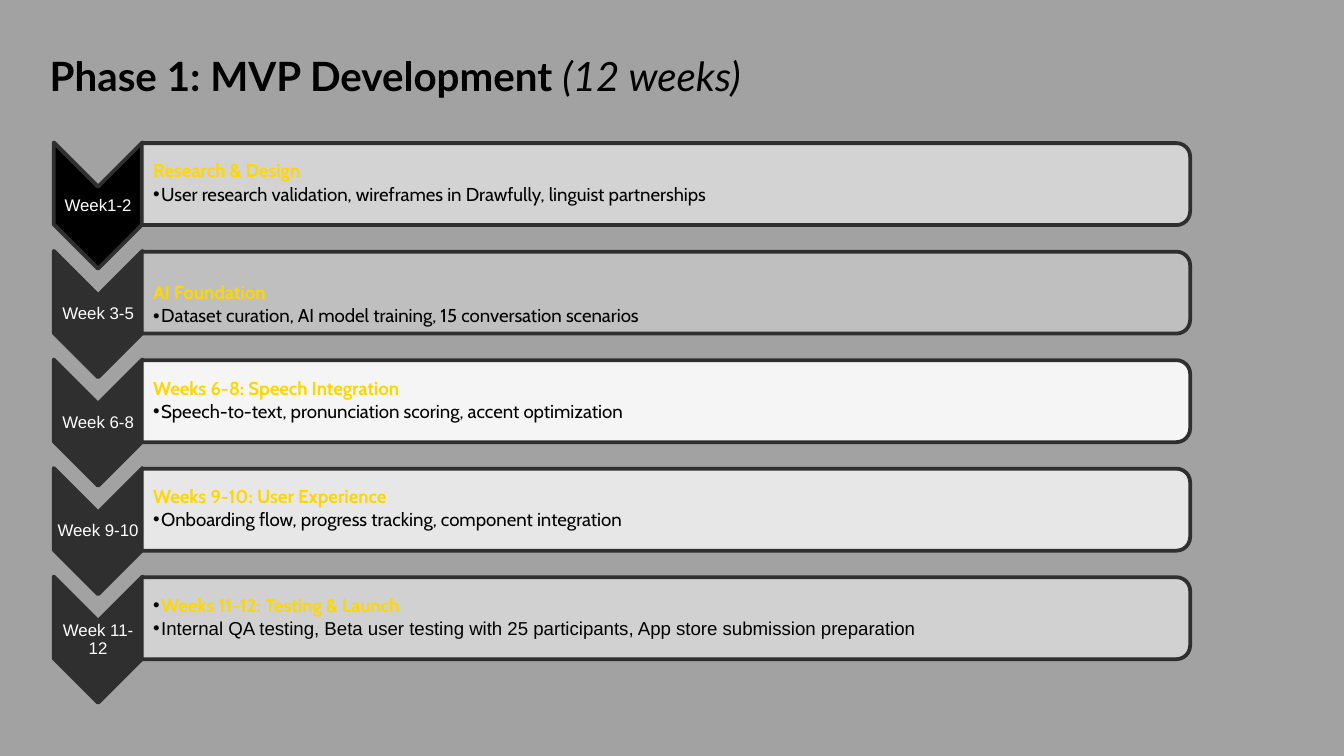
"""Build the slide that shows the five steps of the MVP development phase."""
from lxml.etree import SubElement
from pptx import Presentation
from pptx.dml.color import RGBColor
from pptx.enum.shapes import MSO_SHAPE
from pptx.enum.text import MSO_ANCHOR, MSO_AUTO_SIZE, PP_ALIGN
from pptx.oxml.ns import qn
from pptx.util import Inches, Pt

STEPS = [
    ("Week1-2", "000000", "D9D9D9", "Research & Design",
     "User research validation, wireframes in Drawfully, linguist partnerships"),
    ("Week 3-5", "2F2F2F", "C3C3C3", "AI Foundation",
     "Dataset curation, AI model training, 15 conversation scenarios"),
    ("Week 6-8", "2F2F2F", "FFFFFF", "Weeks 6-8: Speech Integration",
     "Speech-to-text, pronunciation scoring, accent optimization"),
    ("Week 9-10", "2F2F2F", "EFEFEF", "Weeks 9-10: User Experience",
     "Onboarding flow, progress tracking, component integration"),
    ("Week 11- 12", "2F2F2F", "D7D7D7", "Weeks 11-12: Testing & Launch",
     "Internal QA testing, Beta user testing with 25 participants, "
     "App store submission preparation"),
]
FIRST_TOP, LAST_TOP = 1.2, 4.43


def color(value):
    return RGBColor.from_string(value)


class SlideBuilder:
    outline = "2F2F2F"
    black = "000000"
    white = "FFFFFF"
    gold = "FFD700"

    def __init__(self, slide):
        self.slide = slide

    def background(self, value):
        fill = self.slide.background.fill
        fill.solid()
        fill.fore_color.rgb = color(value)

    def format_paragraph(self, paragraph, font_name, size, value, bold=False):
        paragraph.line_spacing = 0.9
        font = paragraph.font
        font.name = font_name
        font.size = Pt(size)
        font.bold = bold
        font.color.rgb = color(value)

    def title(self, main, detail):
        title = self.slide.shapes.title
        title.left, title.top = Inches(0.27), Inches(0.32)
        title.width, title.height = Inches(6.45), Inches(0.74)
        frame = title.text_frame
        frame.auto_size = MSO_AUTO_SIZE.NONE
        frame.vertical_anchor = MSO_ANCHOR.TOP
        frame.margin_left = frame.margin_right = Inches(0.1)
        frame.margin_top = frame.margin_bottom = Inches(0.1)
        paragraph = frame.paragraphs[0]
        paragraph.alignment = PP_ALIGN.LEFT
        self.format_paragraph(paragraph, "Lato", 21.6, self.black)
        main_run, detail_run = paragraph.add_run(), paragraph.add_run()
        main_run.text, detail_run.text = main, detail
        main_run.font.bold = True
        detail_run.font.italic = True

    def rotated_shape(self, kind, left, top, width, height, fill, adjustments):
        shape = self.slide.shapes.add_shape(
            kind, Inches(left), Inches(top), Inches(width), Inches(height))
        shape.rotation = 90
        shape.shadow.inherit = False
        for index, adjustment in enumerate(adjustments):
            shape.adjustments[index] = adjustment
        shape.fill.solid()
        shape.fill.fore_color.rgb = color(fill)
        shape.line.color.rgb = color(self.outline)
        shape.line.width = Pt(2)
        return shape

    def chevron(self, top, fill):
        self.rotated_shape(MSO_SHAPE.CHEVRON, 0.26, top, 0.94, 0.66, fill, [0.5])

    def bar(self, top, fill):
        bar = self.rotated_shape(MSO_SHAPE.ROUND_2_SAME_RECTANGLE,
                                 4.65, top, 0.61, 7.8, fill, [0.167, 0])
        fill_color = next(bar.fill._xPr.iter(qn("a:srgbClr")))
        SubElement(fill_color, qn("a:alpha"), val="90000")

    def text_frame(self, left, top, width, height, margin_left=0.01, margin_top=0.01):
        box = self.slide.shapes.add_textbox(
            Inches(left), Inches(top), Inches(width), Inches(height))
        frame = box.text_frame
        frame.word_wrap = True
        frame.vertical_anchor = MSO_ANCHOR.MIDDLE
        frame.margin_left, frame.margin_top = Inches(margin_left), Inches(margin_top)
        frame.margin_right = frame.margin_bottom = Inches(0.01)
        return frame

    def label(self, top, text):
        paragraph = self.text_frame(0.4, top, 0.66, 0.28).paragraphs[0]
        paragraph.text = text
        paragraph.alignment = PP_ALIGN.CENTER
        self.format_paragraph(paragraph, "Arial", 9, self.white)

    def indent(self, paragraph, bullet):
        properties = paragraph._p.get_or_add_pPr()
        properties.set("marL", str(Inches(0.06)))
        properties.set("indent", str(-Inches(0.07 if bullet else 0.06)))
        if bullet:
            bullet_color = SubElement(properties, qn("a:buClr"))
            SubElement(bullet_color, qn("a:srgbClr"), val=self.black)
            SubElement(properties, qn("a:buFont"), typeface="Arial")
            SubElement(properties, qn("a:buChar"), char="•")

    def description(self, top, heading, detail, margin_top, bullet_heading, detail_font):
        frame = self.text_frame(1.06, top, 7.77, 0.55, 0.08, margin_top)
        first, second = frame.paragraphs[0], frame.add_paragraph()
        first.text, second.text = heading, detail
        self.indent(first, bullet_heading)
        self.indent(second, True)
        self.format_paragraph(first, "Cabin", 10, self.gold, bold=True)
        self.format_paragraph(second, detail_font, 10, self.black)
        second.space_before = Pt(1.5)


def main():
    presentation = Presentation()
    presentation.slide_width = Inches(10)
    presentation.slide_height = presentation.slide_width * 9 // 16
    builder = SlideBuilder(presentation.slides.add_slide(presentation.slide_layouts[5]))
    builder.background("A2A2A2")
    builder.title("Phase 1: MVP Development ", "(12 weeks)")
    last = len(STEPS) - 1
    for index, (week, chevron_fill, bar_fill, heading, detail) in enumerate(STEPS):
        top = FIRST_TOP + index * (LAST_TOP - FIRST_TOP) / last
        builder.chevron(top, chevron_fill)
        builder.label(top + 0.19, week)
        builder.bar(top - 3.73, bar_fill)
        builder.description(top - 0.11, heading, detail,
                            margin_top=0.21 if index == 1 else 0.01,
                            bullet_heading=index == last,
                            detail_font="Arial" if index == last else "Cabin")
    presentation.save("out.pptx")


if __name__ == "__main__":
    main()
